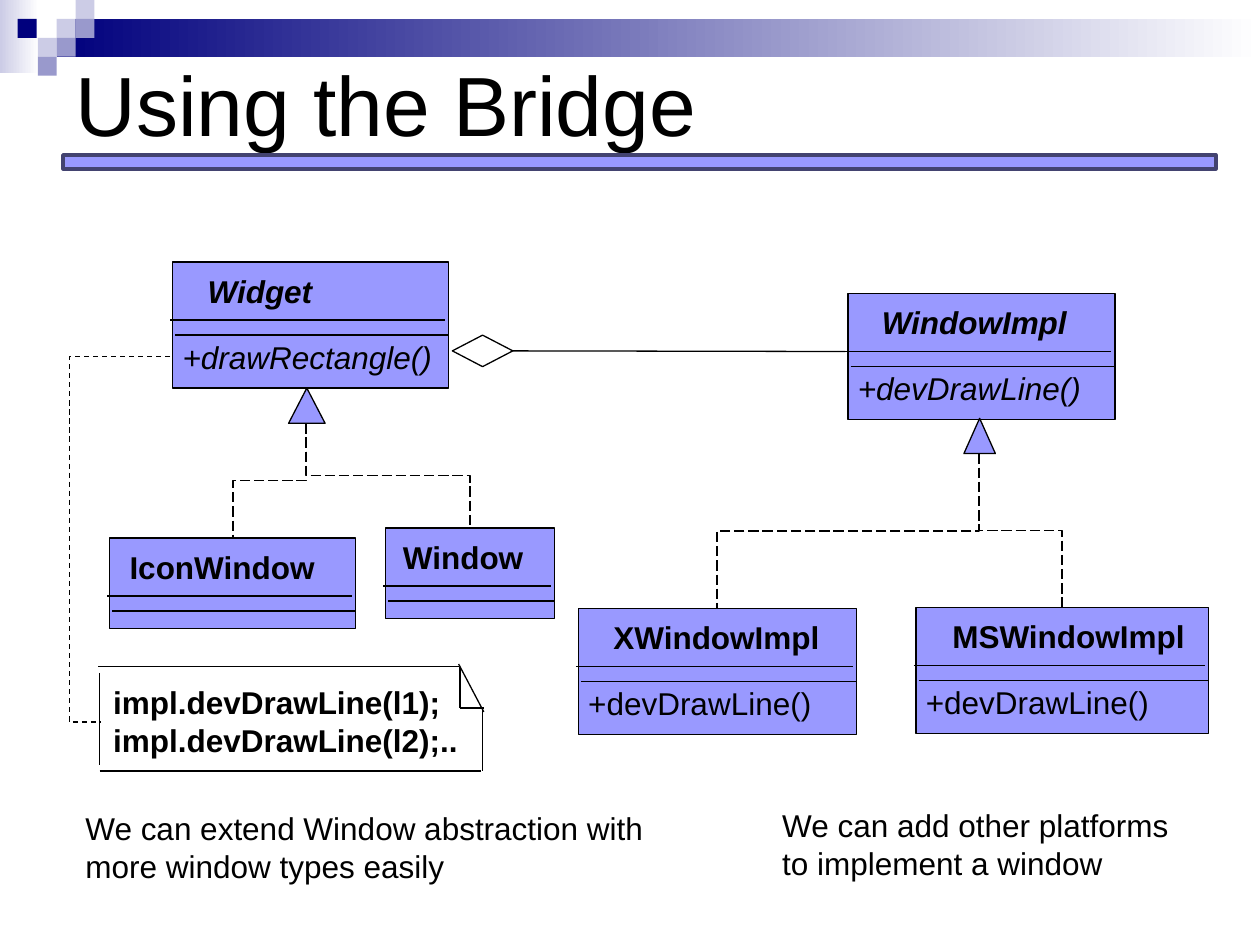
"""Build the slide on using the Bridge pattern as a class diagram."""
from lxml import etree
from pptx import Presentation
from pptx.dml.color import RGBColor
from pptx.enum.dml import MSO_LINE
from pptx.enum.shapes import MSO_CONNECTOR, MSO_SHAPE
from pptx.enum.text import MSO_ANCHOR, MSO_AUTO_SIZE, PP_ALIGN
from pptx.oxml.ns import qn
from pptx.util import Inches, Pt

RECT = MSO_SHAPE.RECTANGLE
TRIANGLE = MSO_SHAPE.ISOSCELES_TRIANGLE
DIAMOND = MSO_SHAPE.DIAMOND
STRAIGHT = MSO_CONNECTOR.STRAIGHT
ELBOW = MSO_CONNECTOR.ELBOW
LONG = MSO_LINE.LONG_DASH
DASH = MSO_LINE.DASH

BLACK = RGBColor(0, 0, 0)
WHITE = RGBColor(255, 255, 255)
NAVY = RGBColor(0x00, 0x00, 0x7D)
PALE = RGBColor(0xCC, 0xCC, 0xE6)
MID = RGBColor(0x99, 0x99, 0xCC)
LILAC = RGBColor(0x99, 0x99, 0xFF)
SLATE = RGBColor(0x43, 0x43, 0x70)

deck = Presentation()
deck.slide_width, deck.slide_height = Inches(10), Inches(7.5)
slide = deck.slides.add_slide(deck.slide_layouts[5])
shapes = slide.shapes


def draw(kind, box, fill=None, line=None, width=0.75):
    shape = shapes.add_shape(kind, *map(Inches, box))
    shape.shadow.inherit = False
    if fill is None:
        shape.fill.background()
    elif isinstance(fill, tuple) and not isinstance(fill, RGBColor):
        shape.fill.gradient()
        shape.fill.gradient_angle = 0
        for stop, color, place in zip(shape.fill.gradient_stops, fill, (0, 1)):
            stop.color.rgb, stop.position = color, place
    else:
        shape.fill.solid()
        shape.fill.fore_color.rgb = fill
    if line is None:
        shape.line.fill.background()
    else:
        shape.line.color.rgb = line
        shape.line.width = Pt(width)
    return shape


def write(frame, lines, **style):
    look = {"name": "Arial", "size": Pt(18), **style}
    for i, text in enumerate(lines):
        para = frame.add_paragraph() if i else frame.paragraphs[0]
        para.alignment = PP_ALIGN.LEFT
        run = para.add_run()
        run.text = text
        run.font.color.rgb = BLACK
        for key, value in look.items():
            setattr(run.font, key, value)


draw(RECT, (0, 0, 0.31, 0.58), (PALE, WHITE))
draw(RECT, (0.45, 0.15, 9.55, 0.3), (NAVY, WHITE))
tiles = [
    (0.45, 0.15, PALE), (0.6, 0, PALE), (0.6, 0.15, MID), (0.3, 0.3, PALE),
    (0.14, 0.15, NAVY), (0.45, 0.3, MID), (0.3, 0.45, MID),
]
for x, y, color in tiles:
    draw(RECT, (x, y, 0.15, 0.15), color)
draw(RECT, (0.5, 1.23, 9.15, 0.11), LILAC, SLATE, 2)

title = shapes.title
place = {"left": 0.5, "top": 0.07, "width": 9, "height": 1.5}
for key, value in place.items():
    setattr(title, key, Inches(value))
title.text_frame.vertical_anchor = MSO_ANCHOR.MIDDLE
write(title.text_frame, ["Using the Bridge"], size=Pt(48))

classes = [
    ("IconWindow", (0.87, 4.27, 1.95, 0.72), 0.06, 1.67, None, 0, False),
    ("Window", (3.06, 4.19, 1.34, 0.72), 0.04, 1.16, None, 0, False),
    ("XWindowImpl", (4.59, 4.83, 2.21, 1), 0.18, 1.84, "+devDrawLine()", 1.97, False),
    ("MSWindowImpl", (7.27, 4.82, 2.32, 1), 0.19, 2.05, "+devDrawLine()", 1.97, False),
    ("Widget", (1.37, 2.08, 2.19, 1), 0.18, 1.04, "+drawRectangle()", 2.18, True),
    ("WindowImpl", (6.73, 2.33, 2.12, 1), 0.17, 1.67, "+devDrawLine()", 1.97, True),
]
notes = [
    ((0.8, 5.37, 3.34, 0.71), ["impl.devDrawLine(l1);", "impl.devDrawLine(l2);.."], {"bold": True}),
    ((0.58, 6.37, 4.63, 0.7), ["We can extend Window abstraction with", "more window types easily"], {}),
    ((6.11, 6.35, 3.34, 0.7), ["We can add other platforms", "to implement a window"], {}),
]
rules = [
    (3.64, 5.27, 3.84, 5.65), (3.65, 5.29, 3.65, 5.62), (0.78, 5.29, 3.64, 5.29),
    (3.65, 5.62, 3.84, 5.62), (0.79, 6.12, 3.82, 6.12), (3.83, 5.62, 3.83, 6.12),
    (0.79, 5.34, 0.79, 6.07),
]
for name, box, inset, wide, method, span, slant in classes:
    x, y, w, h = box
    draw(RECT, box, LILAC, BLACK)
    notes.append(((x + inset, y + 0.03, wide, 0.4), [name], {"bold": True, "italic": slant}))
    if method:
        notes.append(((x - 0.02, y + 0.55, span, 0.4), [method], {"italic": slant}))
    rules.append((x - 0.02, y + 0.46, x + w - 0.03, y + 0.46))
    rules.append((x + 0.02, y + 0.58, x + w, y + 0.58))

draw(TRIANGLE, (2.29, 3.08, 0.29, 0.28), LILAC, BLACK)
draw(TRIANGLE, (7.65, 3.32, 0.25, 0.28), LILAC, BLACK)
diamond = draw(DIAMOND, (3.59, 2.66, 0.48, 0.25), None, BLACK)

links = [(shapes.add_connector(STRAIGHT, *map(Inches, ends)), None) for ends in rules]
bridge = shapes.add_connector(STRAIGHT, *map(Inches, (4.07, 2.79, 6.71, 2.79)))
bridge.begin_connect(diamond, 3)
links.append((bridge, None))

trees = [
    (2.43, 3.36, 1.85, 4.27), (2.43, 3.36, 3.73, 4.19),
    (7.77, 3.6, 5.69, 4.83), (7.77, 3.6, 8.43, 4.82),
]
for x1, y1, x2, y2 in trees:
    w, h = y2 - y1, abs(x2 - x1)
    left, top = (x1 + x2 - w) / 2, (y1 + y2 - h) / 2
    link = shapes.add_connector(ELBOW, *map(Inches, (left, top, left + w, top + h)))
    frame = link._element.spPr.find(qn("a:xfrm"))
    frame.set("rot", "5400000" if x2 < x1 else "16200000")
    if x2 > x1:
        frame.set("flipH", "1")
    links.append((link, LONG))

loop = shapes.add_connector(ELBOW, *map(Inches, (1.35, 2.83, 0.8, 5.73)))
guides = loop._element.spPr.find(qn("a:prstGeom")).get_or_add_avLst()
etree.SubElement(guides, qn("a:gd"), name="adj1", fmla="val 145200")
links.append((loop, DASH))

for link, dash in links:
    link.line.color.rgb = BLACK
    link.line.width = Pt(0.75)
    if dash:
        link.line.dash_style = dash
    etree.SubElement(link._element.spPr, qn("a:effectLst"))

for box, lines, style in notes:
    frame = shapes.add_textbox(*map(Inches, box)).text_frame
    frame.word_wrap = False
    frame.auto_size = MSO_AUTO_SIZE.SHAPE_TO_FIT_TEXT
    write(frame, lines, **style)

deck.save("out.pptx")
